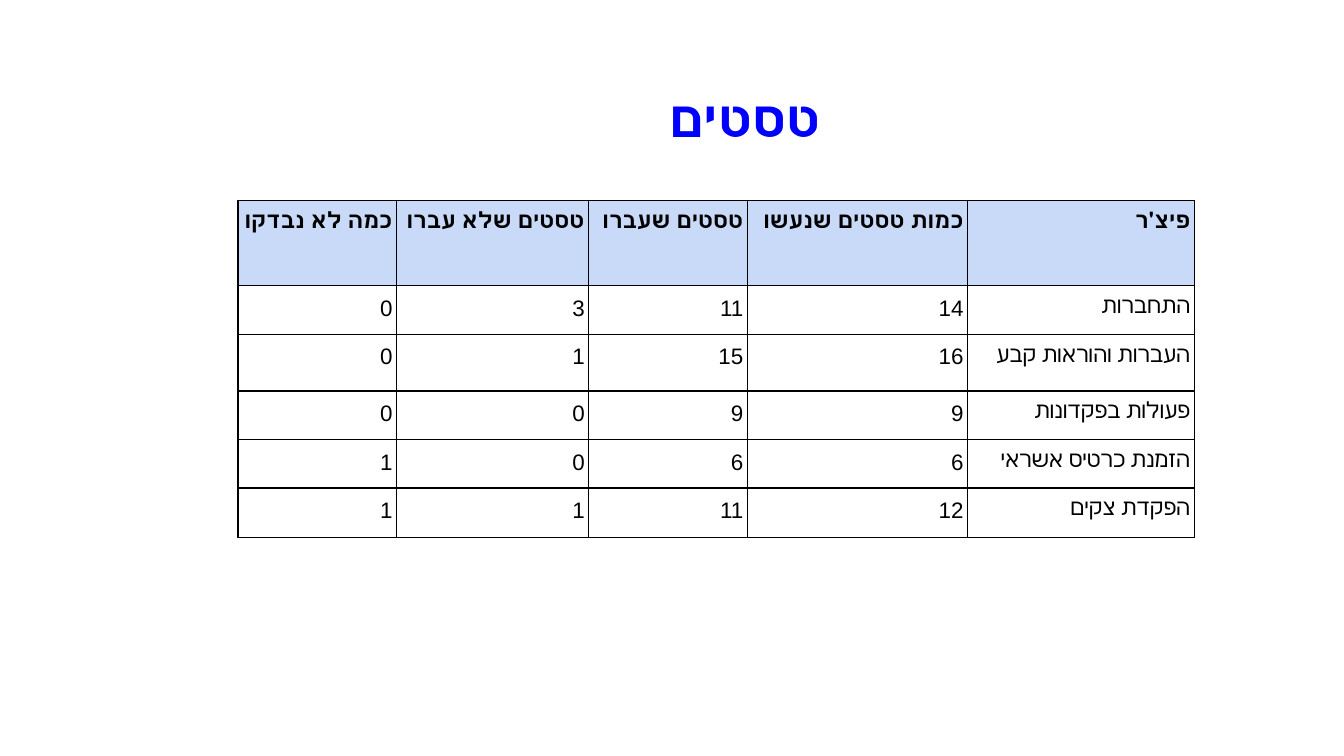
from lxml import etree
from pptx import Presentation
from pptx import util as u
from pptx.dml.color import RGBColor
from pptx.enum import text
from pptx.oxml.ns import qn

Pt = u.Pt
HEADERS = ["כמה לא נבדקו", "טסטים שלא עברו", "טסטים שעברו", "כמות טסטים שנעשו", "פיצ'ר"]
FEATURES = [
    [0, 3, 11, 14, "התחברות"],
    [0, 1, 15, 16, "העברות והוראות קבע"],
    [0, 0, 9, 9, "פעולות בפקדונות"],
    [1, 0, 6, 6, "הזמנת כרטיס אשראי"],
    [1, 1, 11, 12, "הפקדת צקים"],
]
COLUMN_WIDTHS = [85, 103, 85, 118, 121.5]
ROW_HEIGHTS = [45.5, 26, 30.5, 26, 26, 26.5]


def color(value):
    return RGBColor.from_string(value)


def write(frame, content, size=12, bold=False, ink="000000", align="RIGHT",
          spacing=None, rtl=False, inset=(7.2, 7.2)):
    frame.word_wrap = True
    frame.margin_left = frame.margin_right = Pt(inset[0])
    frame.margin_top = frame.margin_bottom = Pt(inset[1])
    line = frame.paragraphs[0]
    line.alignment = getattr(text.PP_ALIGN, align)
    if spacing:
        line.line_spacing = spacing
    if rtl:
        line._p.get_or_add_pPr().set("rtl", "1")
    run = line.add_run()
    run.text = content
    run.font.name = "Arial"
    run.font.size = Pt(size)
    run.font.bold = bold
    run.font.color.rgb = color(ink)


def outline(cell, ink="000000", width=0.68):
    properties = cell._tc.get_or_add_tcPr()
    for index, side in enumerate(("a:lnL", "a:lnR", "a:lnT", "a:lnB")):
        border = etree.Element(qn(side), w=str(Pt(width)))
        fill = etree.SubElement(border, qn("a:solidFill"))
        etree.SubElement(fill, qn("a:srgbClr"), val=ink)
        properties.insert(index, border)


def add_title(slide, left, top, width, height):
    title = slide.shapes.add_textbox(Pt(left), Pt(top), Pt(width), Pt(height))
    write(title.text_frame, "טסטים", size=27.2, bold=True, ink="0000FF",
          align="CENTER", rtl=True)


def add_results(slide, left, top):
    rows = [HEADERS] + FEATURES
    results = slide.shapes.add_table(
        len(rows), len(HEADERS), Pt(left), Pt(top),
        Pt(sum(COLUMN_WIDTHS)), Pt(sum(ROW_HEIGHTS))).table
    for column, width in zip(results.columns, COLUMN_WIDTHS):
        column.width = Pt(width)
    for row, height, values in zip(results.rows, ROW_HEIGHTS, rows):
        row.height = Pt(height)
        is_header = values is HEADERS
        for cell, value in zip(row.cells, values):
            write(cell.text_frame, str(value), bold=is_header, spacing=1.15)
            cell.margin_left = cell.margin_right = Pt(2.25)
            cell.margin_top = cell.margin_bottom = Pt(3.6)
            if is_header:
                cell.fill.solid()
                cell.fill.fore_color.rgb = color("C9DAF8")
            else:
                cell.fill.background()
            outline(cell)


def main():
    deck = Presentation()
    deck.slide_width, deck.slide_height = Pt(720), Pt(405)
    slide = deck.slides.add_slide(deck.slide_layouts[6])
    add_title(slide, 211.5, 39, 375, 45.5)
    add_results(slide, 127.5, 107.5)
    deck.save("out.pptx")


if __name__ == "__main__":
    main()
